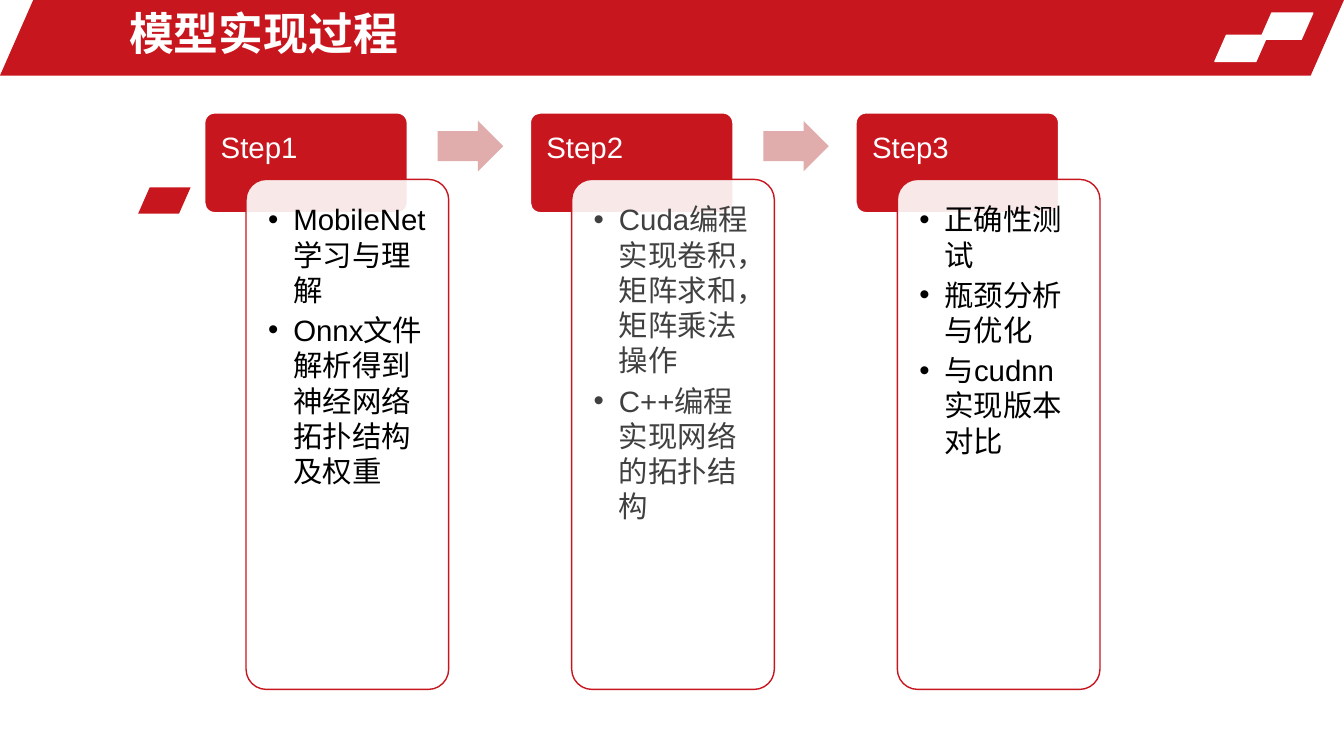
from dataclasses import dataclass

from lxml import etree
from pptx import Presentation
from pptx import util as u
from pptx.dml.color import RGBColor
from pptx.enum import shapes, text
from pptx.oxml import ns

PX = u.Inches(1) // 100


@dataclass(frozen=True)
class Theme:
    red: str = "C8161E"
    pink: str = "E0ACAC"
    white: str = "FFFFFF"
    black: str = "000000"
    grey: str = "404040"
    font: str = "Arial"
    title_size: int = 32
    body_size: int = 21


THEME = Theme()
SLIDE = (0, 0, 1333, 750)
BAND_HEIGHT = 75
STEP_PITCH = 323
STEPS = [
    ("Step1", THEME.black, ["MobileNet学习与理解", "Onnx文件解析得到神经网络拓扑结构及权重"]),
    ("Step2", THEME.grey, ["Cuda编程实现卷积，矩阵求和，矩阵乘法操作", "C++编程实现网络的拓扑结构"]),
    ("Step3", THEME.black, ["正确性测试", "瓶颈分析与优化", "与cudnn实现版本对比"]),
]


def place(shape, box):
    for name, value in zip(("left", "top", "width", "height"), box):
        setattr(shape, name, value * PX)


def add_shape(slide, kind, box, fill, line=None, adjustments=()):
    shape = slide.shapes.add_shape(kind, *(value * PX for value in box))
    shape.shadow.inherit = False
    shape.fill.solid()
    shape.fill.fore_color.rgb = RGBColor.from_string(fill)
    if line:
        shape.line.color.rgb = RGBColor.from_string(line)
        shape.line.width = u.Pt(1)
    else:
        shape.line.fill.background()
    for index, value in enumerate(adjustments):
        shape.adjustments[index] = value
    return shape


def add_slant(slide, box, fill, line=None):
    return add_shape(slide, shapes.MSO_SHAPE.PARALLELOGRAM, box, fill, line, [0.44])


def set_opacity(shape, percent):
    color = shape.element.spPr.find(ns.qn("a:solidFill"))[0]
    etree.SubElement(color, ns.qn("a:alpha"), val=str(percent * 1000))


def add_bullet(paragraph, indent):
    properties = paragraph._p.get_or_add_pPr()
    properties.set("marL", str(indent * PX))
    properties.set("indent", str(-indent * PX))
    etree.SubElement(properties, ns.qn("a:buFont"), typeface=THEME.font)
    etree.SubElement(properties, ns.qn("a:buChar"), char="•")


def write(shape, lines, color, size, bold=False, bulleted=False,
          anchor=text.MSO_ANCHOR.TOP, inset=None):
    frame = shape.text_frame
    settings = {"word_wrap": True, "auto_size": text.MSO_AUTO_SIZE.NONE,
                "vertical_anchor": anchor}
    if inset is not None:
        for side in ("left", "top", "right", "bottom"):
            settings[f"margin_{side}"] = inset * PX
    for name, value in settings.items():
        setattr(frame, name, value)
    for index, line in enumerate(lines):
        paragraph = frame.add_paragraph() if index else frame.paragraphs[0]
        paragraph.alignment = text.PP_ALIGN.LEFT
        paragraph.space_before = u.Pt(0)
        if bulleted:
            paragraph.space_after = u.Pt(3.5)
            add_bullet(paragraph, 25)
        run = paragraph.add_run()
        run.text = line
        for name, value in {"name": THEME.font, "size": u.Pt(size), "bold": bold}.items():
            setattr(run.font, name, value)
        run.font.color.rgb = RGBColor.from_string(color)


def add_title_band(slide, box, title_text):
    left, top, width, height = box
    add_slant(slide, box, THEME.red)
    for x, y in ((1250, 13), (1205, 35)):
        add_slant(slide, (left + x, top + y, 52, 26), THEME.white, THEME.white)
    title = slide.shapes.title
    place(title, (left + 118, top, 774, 65))
    write(title, [title_text], THEME.white, THEME.title_size, bold=True,
          anchor=text.MSO_ANCHOR.MIDDLE)
    # The title has to stand in front of the band.
    title.element.getparent().append(title.element)


def add_step(slide, box, name, color, tasks):
    left, top, width, height = box
    rounded = shapes.MSO_SHAPE.ROUNDED_RECTANGLE
    header = add_shape(slide, rounded, (left, top, 201, 99),
                       THEME.red, THEME.white, [0.1])
    write(header, [name], THEME.white, THEME.body_size, inset=13)
    card = add_shape(slide, rounded, (left + 41, top + 66, width - 41, height - 66),
                     THEME.white, THEME.red, [0.1])
    set_opacity(card, 90)
    write(card, tasks, color, THEME.body_size, bulleted=True, inset=16)


def add_process(slide, box):
    left, top, width, height = box
    step_width = width - STEP_PITCH * (len(STEPS) - 1)
    for index, step in enumerate(STEPS):
        x = left + index * STEP_PITCH
        add_step(slide, (x, top, step_width, height), *step)
        if index < len(STEPS) - 1:
            add_shape(slide, shapes.MSO_SHAPE.RIGHT_ARROW, (x + 231, top + 8, 65, 50),
                      THEME.pink, adjustments=[0.6, 0.5])


def main():
    presentation = Presentation()
    presentation.slide_width = SLIDE[2] * PX
    presentation.slide_height = SLIDE[3] * PX
    slide = presentation.slides.add_slide(presentation.slide_layouts[5])
    add_title_band(slide, (0, 0, SLIDE[2], BAND_HEIGHT), "模型实现过程")
    add_slant(slide, (137, 186, 52, 26), THEME.red)
    add_process(slide, (203, 112, 888, 572))
    presentation.save("out.pptx")


if __name__ == "__main__":
    main()
